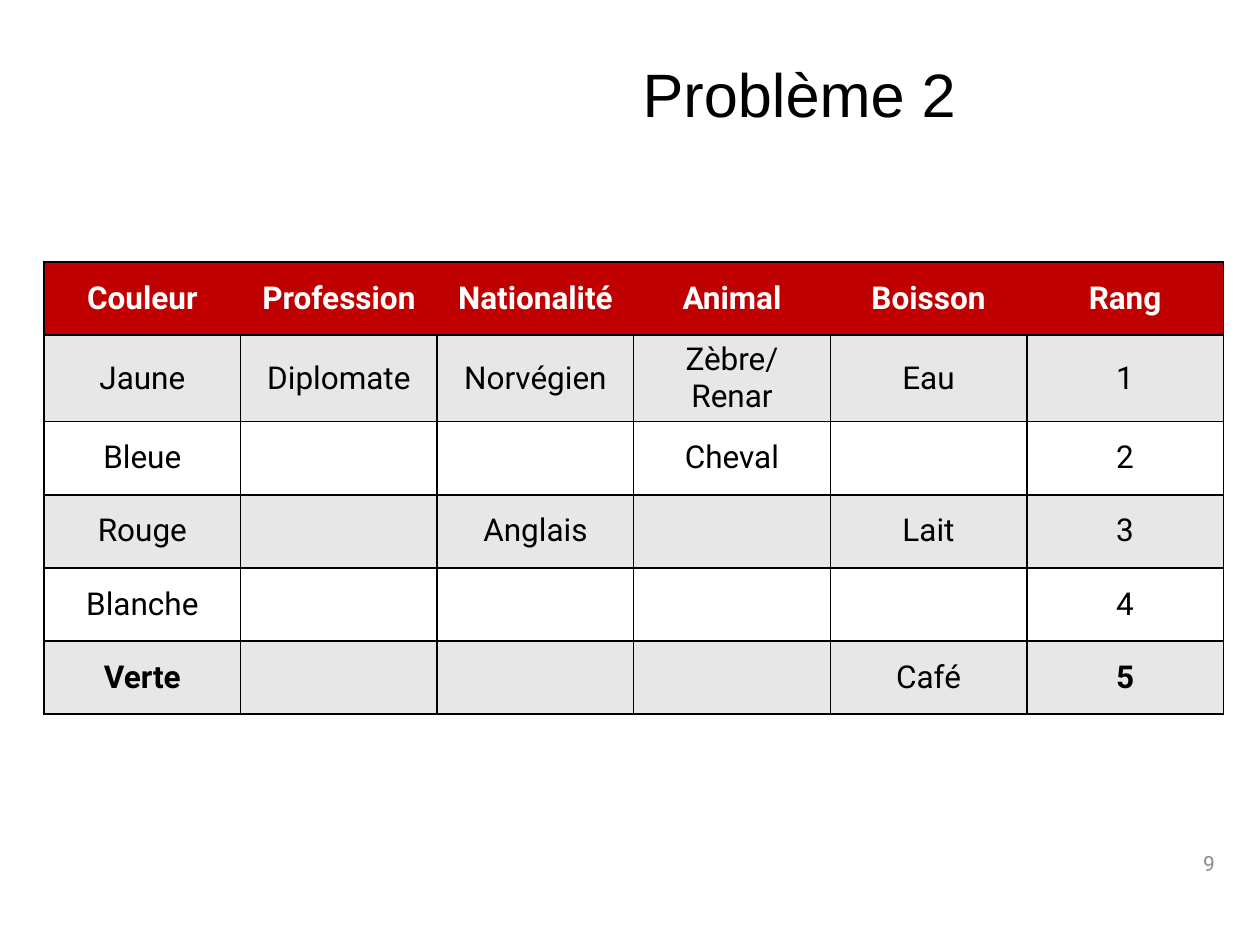
import dataclasses

import lxml.etree
import pptx
import pptx.dml.color
import pptx.enum.text
import pptx.oxml.ns
import pptx.util

Inches = pptx.util.Inches
Pt = pptx.util.Pt
ALIGN = pptx.enum.text.PP_ALIGN
MIDDLE = pptx.enum.text.MSO_ANCHOR.MIDDLE


@dataclasses.dataclass(frozen=True)
class Theme:
    title_font: str = "Arial"
    body_font: str = "Roboto"
    title_size: int = 35
    table_size: int = 18
    number_size: int = 12
    text: str = "000000"
    header_text: str = "FFFFFF"
    header_fill: str = "C00000"
    band_fills: tuple = ("E7E7E7", "FFFFFF")
    border: str = "000000"
    border_width: int = 1
    muted: str = "8C8C8C"


HEADINGS = ["Couleur", "Profession", "Nationalité", "Animal", "Boisson", "Rang"]
HOUSES = [
    ["Jaune", "Diplomate", "Norvégien", "Zèbre/Renar", "Eau", "1"],
    ["Bleue", "", "", "Cheval", "", "2"],
    ["Rouge", "", "Anglais", "", "Lait", "3"],
    ["Blanche", "", "", "", "", "4"],
    ["Verte", "", "", "", "Café", "5"],
]
BOLD_ENTRIES = {"Verte", "5"}


class SlideBuilder:
    def __init__(self, slide, theme):
        self.slide = slide
        self.theme = theme

    def set_text(self, frame, text, font, size, color, align, bold=False):
        frame.text = text
        paragraph = frame.paragraphs[0]
        paragraph.alignment = align
        paragraph.font.size = Pt(size)
        for run in paragraph.runs:
            run.font.name = font
            run.font.size = Pt(size)
            run.font.bold = bold
            run.font.color.rgb = pptx.dml.color.RGBColor.from_string(color)
        return paragraph

    def title(self, text, left, top, width, height):
        heading = self.slide.shapes.title
        heading.left, heading.top = Inches(left), Inches(top)
        heading.width, heading.height = Inches(width), Inches(height)
        heading.text_frame.vertical_anchor = MIDDLE
        paragraph = self.set_text(heading.text_frame, text, self.theme.title_font,
                                  self.theme.title_size, self.theme.text, ALIGN.LEFT)
        paragraph.line_spacing = 0.9

    def borders(self, cell, hidden):
        """Draw the four cell borders, leaving out the hidden sides."""
        properties = cell._tc.get_or_add_tcPr()
        qn = pptx.oxml.ns.qn
        for side in "LRTB":
            line = lxml.etree.SubElement(properties, qn(f"a:ln{side}"),
                                         w=str(Pt(self.theme.border_width)))
            if side in hidden:
                lxml.etree.SubElement(line, qn("a:noFill"))
            else:
                fill = lxml.etree.SubElement(line, qn("a:solidFill"))
                lxml.etree.SubElement(fill, qn("a:srgbClr"), val=self.theme.border)

    def table(self, headings, entries, left, top, column_width, row_height):
        theme = self.theme
        rows = [headings] + entries
        last = len(headings) - 1
        grid = self.slide.shapes.add_table(
            len(rows), len(headings), Inches(left), Inches(top),
            Inches(column_width * len(headings)), Inches(row_height * len(rows))).table
        for column in grid.columns:
            column.width = Inches(column_width)
        for r, row in enumerate(rows):
            grid.rows[r].height = Inches(row_height)
            is_header = r == 0
            fill = theme.header_fill if is_header else theme.band_fills[(r - 1) % 2]
            color = theme.header_text if is_header else theme.text
            for c, text in enumerate(row):
                cell = grid.cell(r, c)
                # The header row has no inner vertical lines
                hidden = ("L" if c > 0 else "") + ("R" if c < last else "")
                self.borders(cell, hidden if is_header else "")
                cell.fill.solid()
                cell.fill.fore_color.rgb = pptx.dml.color.RGBColor.from_string(fill)
                cell.vertical_anchor = MIDDLE
                self.set_text(cell.text_frame, text, theme.body_font, theme.table_size,
                              color, ALIGN.CENTER, is_header or text in BOLD_ENTRIES)

    def page_number(self, text, left, top, width, height):
        box = self.slide.shapes.add_textbox(
            Inches(left), Inches(top), Inches(width), Inches(height))
        box.text_frame.word_wrap = True
        box.text_frame.vertical_anchor = MIDDLE
        self.set_text(box.text_frame, text, self.theme.body_font,
                      self.theme.number_size, self.theme.muted, ALIGN.RIGHT)


def main():
    deck = pptx.Presentation()
    deck.slide_width, deck.slide_height = Inches(10), Inches(7.5)
    title_only = deck.slide_layouts[5]
    builder = SlideBuilder(deck.slides.add_slide(title_only), Theme())

    # Title
    builder.title("Problème 2", 5, 0.25, 4.69, 1.05)
    # Houses and their occupants
    builder.table(HEADINGS, HOUSES, 0.35, 2.08, 1.56, 0.58)
    # Page number
    builder.page_number("9", 7.49, 6.65, 2.25, 0.4)

    deck.save("out.pptx")


if __name__ == "__main__":
    main()
